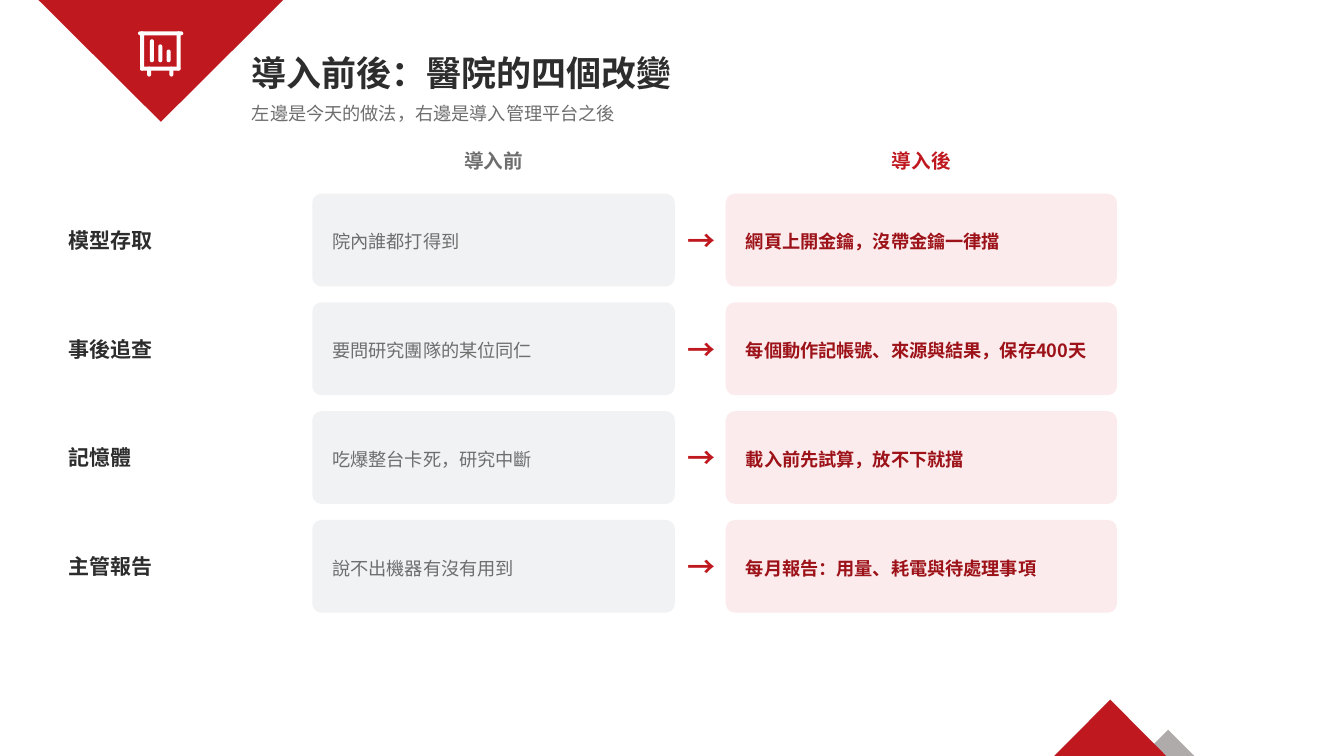
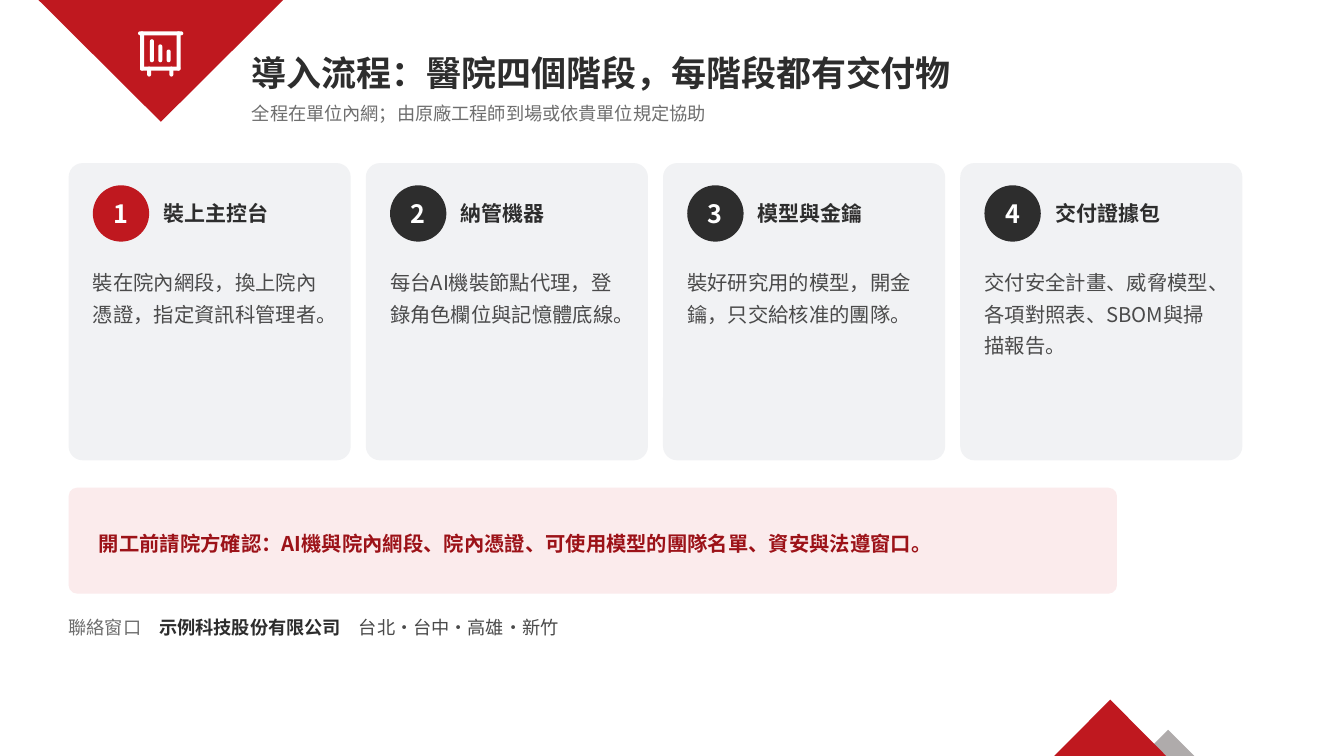
from dataclasses import dataclass

import pptx
import pptx.dml.color
import pptx.enum.shapes
import pptx.enum.text
import pptx.oxml.ns
import pptx.util
from lxml import etree

Cm = pptx.util.Cm
SHAPES = pptx.enum.shapes.MSO_SHAPE
ALIGN = pptx.enum.text.PP_ALIGN
ANCHOR = pptx.enum.text.MSO_ANCHOR

FONT = "Noto Sans CJK TC"
RED, DARK_RED, PINK = "BF181F", "9C1218", "FBEBEC"
INK, BODY, MUTED = "2D2D2D", "4A4A4A", "6E6E6E"
PANEL, SILVER, WHITE = "F1F2F4", "AFABAB", "FFFFFF"
LEFT = 1.73  # left margin, cm


@dataclass(frozen=True)
class Box:
    """A rectangle in centimetres."""
    left: float
    top: float
    width: float
    height: float

    def lengths(self):
        return Cm(self.left), Cm(self.top), Cm(self.width), Cm(self.height)


@dataclass(frozen=True)
class Style:
    size: float
    color: str
    bold: bool = False
    align: ALIGN = ALIGN.LEFT
    anchor: ANCHOR = ANCHOR.MIDDLE
    spacing: float = 1.0


@dataclass(frozen=True)
class Change:
    topic: str
    before: str
    after: str


@dataclass(frozen=True)
class Stage:
    title: str
    body: str


# Text styles
TITLE = Style(25, INK, bold=True)
SUBTITLE = Style(13, MUTED, anchor=ANCHOR.TOP)
LABEL = Style(15, INK, bold=True)
BEFORE_HEAD = Style(14, MUTED, True, ALIGN.CENTER, ANCHOR.TOP)
AFTER_HEAD = Style(14, RED, True, ALIGN.CENTER, ANCHOR.TOP)
BEFORE_TEXT = Style(13, MUTED, spacing=1.15)
AFTER_TEXT = Style(13, DARK_RED, bold=True, spacing=1.15)
ARROW = Style(20, RED, True, ALIGN.CENTER)
NUMBER = Style(18, WHITE, True, ALIGN.CENTER)
STAGE_BODY = Style(14.5, BODY, anchor=ANCHOR.TOP, spacing=1.28)
NOTICE = Style(14.5, DARK_RED, bold=True, spacing=1.2)

CHANGES = [
    Change("模型存取", "院內誰都打得到", "網頁上開金鑰，沒帶金鑰一律擋"),
    Change("事後追查", "要問研究團隊的某位同仁", "每個動作記帳號、來源與結果，保存400天"),
    Change("記憶體", "吃爆整台卡死，研究中斷", "載入前先試算，放不下就擋"),
    Change("主管報告", "說不出機器有沒有用到", "每月報告：用量、耗電與待處理事項"),
]
STAGES = [
    Stage("裝上主控台", "裝在院內網段，換上院內憑證，指定資訊科管理者。"),
    Stage("納管機器", "每台AI機裝節點代理，登錄角色欄位與記憶體底線。"),
    Stage("模型與金鑰", "裝好研究用的模型，開金鑰，只交給核准的團隊。"),
    Stage("交付證據包", "交付安全計畫、威脅模型、各項對照表、SBOM與掃描報告。"),
]
CONTACT = [
    ("聯絡窗口　", MUTED, False),
    ("示例科技股份有限公司", INK, True),
    ("　台北・台中・高雄・新竹", BODY, False),
]


def rgb(value: str) -> pptx.dml.color.RGBColor:
    return pptx.dml.color.RGBColor.from_string(value)


def write(shape, text: str, style: Style, inset: float = 0):
    """Put one styled paragraph in a shape and return the paragraph."""
    frame = shape.text_frame
    frame.word_wrap = True
    frame.vertical_anchor = style.anchor
    frame.margin_left = frame.margin_right = Cm(inset)
    frame.margin_top = frame.margin_bottom = 0
    paragraph = frame.paragraphs[0]
    paragraph.text = text
    paragraph.alignment = style.align
    paragraph.line_spacing = style.spacing
    font = paragraph.font
    font.name, font.size, font.bold = FONT, pptx.util.Pt(style.size), style.bold
    font.color.rgb = rgb(style.color)
    # East Asian glyphs need their own font entry
    qn = pptx.oxml.ns.qn
    defaults = paragraph._p.find(qn("a:pPr")).find(qn("a:defRPr"))
    etree.SubElement(defaults, qn("a:ea")).set("typeface", FONT)
    return paragraph


def add_text(slide, box: Box, text: str, style: Style):
    return write(slide.shapes.add_textbox(*box.lengths()), text, style)


def add_shape(slide, kind, box: Box, color: str, corner: float | None = None):
    shape = slide.shapes.add_shape(kind, *box.lengths())
    shape.shadow.inherit = False
    shape.fill.solid()
    shape.fill.fore_color.rgb = rgb(color)
    shape.line.fill.background()
    if corner is not None:
        shape.adjustments[0] = corner
    return shape


def add_panel(slide, box: Box, color: str, corner: float):
    return add_shape(slide, SHAPES.ROUNDED_RECTANGLE, box, color, corner)


def decorate_layout(slide, layout) -> None:
    """Draw the corner triangles and the chart icon, then move them to the layout."""
    for placeholder in list(layout.placeholders):
        layout.shapes.element.remove(placeholder.element)
    add_shape(slide, SHAPES.ISOSCELES_TRIANGLE, Box(28.78, 18.39, 1.32, 0.66), SILVER)
    add_shape(slide, SHAPES.FLOWCHART_MERGE, Box(0.97, 0, 6.17, 3.07), RED)
    add_shape(slide, SHAPES.ISOSCELES_TRIANGLE, Box(26.57, 17.63, 2.82, 1.42), RED)
    frame = [Box(3.48, 0.79, 1.14, 0.1), Box(3.53, 1.68, 1.02, 0.1)]
    frame += [Box(left, 0.79, 0.1, 0.99) for left in (3.53, 4.45)]
    feet = [Box(left, 1.68, 0.1, 0.25) for left in (3.71, 4.27)]
    bars = [Box(3.78 + 0.21 * i, 0.99 + 0.13 * i, 0.1, 0.58 - 0.13 * i) for i in range(3)]
    for stroke in frame + feet + bars:
        add_panel(slide, stroke, WHITE, 0.5)
    for shape in list(slide.shapes):
        layout.shapes.element.append(shape.element)


def add_heading(slide, title: str, subtitle: str) -> None:
    add_text(slide, Box(6.35, 1.07, 25.9, 1.52), title, TITLE)
    add_text(slide, Box(6.35, 2.59, 25.9, 0.81), subtitle, SUBTITLE)


def build_changes(slide) -> None:
    add_heading(slide, "導入前後：醫院的四個改變", "左邊是今天的做法，右邊是導入管理平台之後")
    before_left, before_width = 7.87, 9.14
    after_left, after_width = 18.29, 9.86
    row_height, row_pitch = 2.34, 2.74

    # Column heads
    add_text(slide, Box(before_left, 3.76, before_width, 0.91), "導入前", BEFORE_HEAD)
    add_text(slide, Box(after_left, 3.76, after_width, 0.91), "導入後", AFTER_HEAD)

    # One row per change
    for index, change in enumerate(CHANGES):
        top = 4.88 + index * row_pitch
        add_text(slide, Box(LEFT, top, 5.84, row_height), change.topic, LABEL)
        before = add_panel(slide, Box(before_left, top, before_width, row_height), PANEL, 0.1)
        write(before, change.before, BEFORE_TEXT, inset=0.44)
        add_text(slide, Box(17.17, top, 1.02, row_height), "→", ARROW)
        after = add_panel(slide, Box(after_left, top, after_width, row_height), PINK, 0.1)
        write(after, change.after, AFTER_TEXT, inset=0.44)


def build_stages(slide) -> None:
    add_heading(slide, "導入流程：醫院四個階段，每階段都有交付物",
                "全程在單位內網；由原廠工程師到場或依貴單位規定協助")
    card_width, card_gap, padding = 7.11, 0.38, 0.61
    badge_top, badge_size = 4.67, 1.42

    # Stage cards
    for index, stage in enumerate(STAGES):
        left = LEFT + index * (card_width + card_gap)
        inner = left + padding
        add_panel(slide, Box(left, 4.11, card_width, 7.49), PANEL, 0.05)
        badge = add_shape(slide, SHAPES.OVAL, Box(inner, badge_top, badge_size, badge_size),
                          INK if index else RED)
        write(badge, str(index + 1), NUMBER)
        add_text(slide, Box(left + 2.39, badge_top, 4.45, badge_size), stage.title, LABEL)
        add_text(slide, Box(inner, 6.65, 6, 4.7), stage.body, STAGE_BODY)

    # Notice and contact line
    notice = add_panel(slide, Box(LEFT, 12.29, 26.42, 2.67), PINK, 0.08)
    write(notice, "開工前請院方確認：AI機與院內網段、院內憑證、可使用模型的團隊名單、資安與法遵窗口。",
          NOTICE, inset=0.7)
    contact = add_text(slide, Box(LEFT, 15.54, 26.42, 1.02), "", SUBTITLE)
    for text, color, bold in CONTACT:
        run = contact.add_run()
        run.text = text
        run.font.bold = bold
        run.font.color.rgb = rgb(color)


def main() -> None:
    presentation = pptx.Presentation()
    presentation.slide_width, presentation.slide_height = Cm(33.87), Cm(19.05)
    layout = presentation.slide_layouts[6]
    for index, build in enumerate((build_changes, build_stages)):
        slide = presentation.slides.add_slide(layout)
        if index == 0:
            decorate_layout(slide, layout)
        build(slide)
    presentation.save("out.pptx")


if __name__ == "__main__":
    main()
